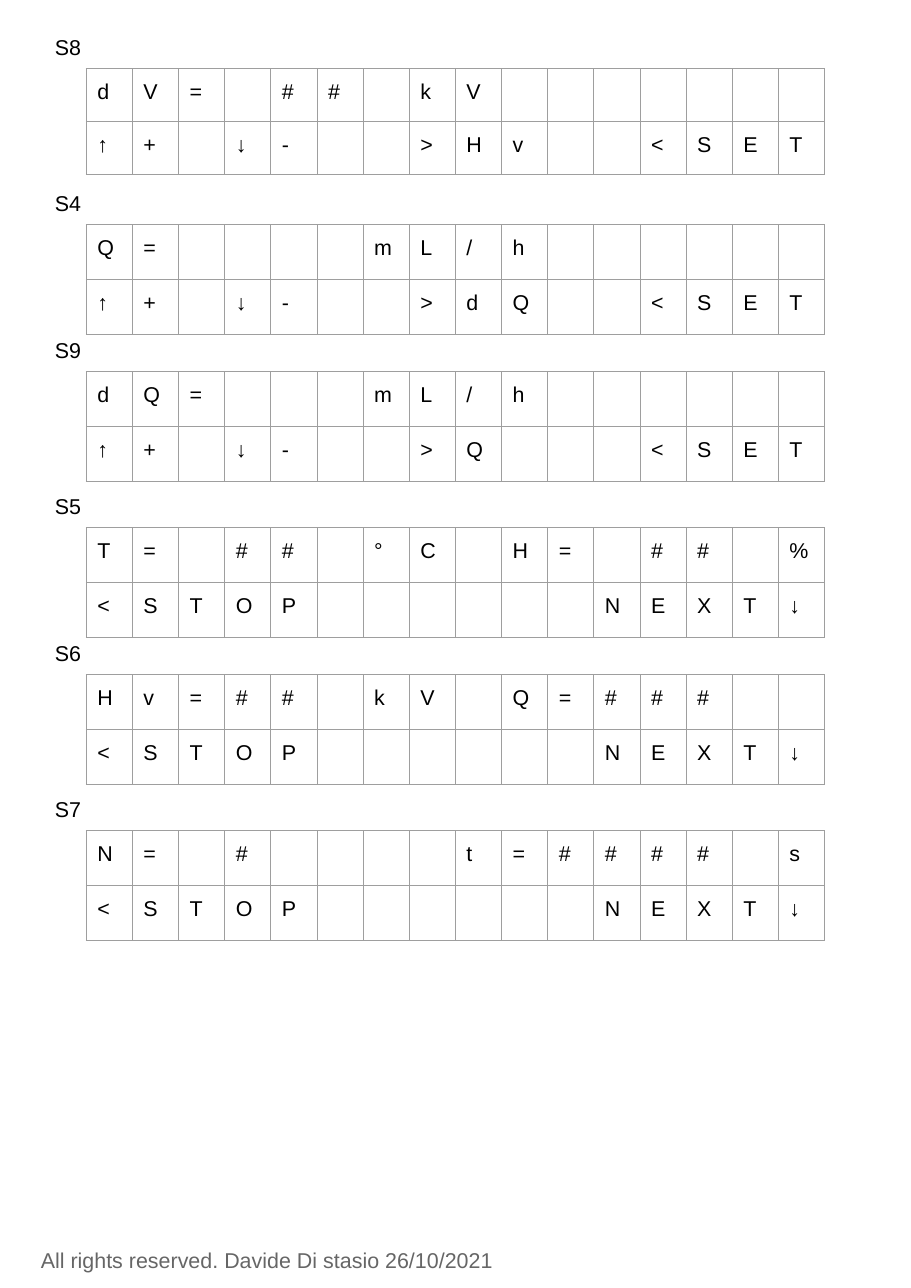
from lxml import etree
from pptx import Presentation
from pptx.dml.color import RGBColor
from pptx.enum import text
from pptx.oxml import ns
from pptx.util import Pt

COLUMNS = 16
COLUMN_WIDTH = 30.17
FRAME_SIDE = 236.2
INSET = 7.2
GRID = "9E9E9E"

# Each display has two lines of 16 characters; "_" is an empty position.
ADJUST = "↑+_↓-__>{}__<SET"
STOP_NEXT = "<STOP______NEXT↓"
displays = [
    ("S8", "dV=_##_kV_______", ADJUST.format("Hv")),
    ("S4", "Q=____mL/h______", ADJUST.format("dQ")),
    ("S9", "dQ=___mL/h______", ADJUST.format("Q_")),
    ("S5", "T=_##_°C_H=_##_%", STOP_NEXT),
    ("S6", "Hv=##_kV_Q=###__", STOP_NEXT),
    ("S7", "N=_#____t=####_s", STOP_NEXT),
]

presentation = Presentation()
presentation.slide_width = Pt(595.44)
presentation.slide_height = Pt(841.68)
slide = presentation.slides.add_slide(presentation.slide_layouts[6])


def write(frame, content, color="000000"):
    """Fill a text box or cell text frame with one formatted line."""
    frame.text = content
    font = frame.paragraphs[0].runs[0].font
    font.name = "Arial"
    font.size = Pt(14)
    font.color.rgb = RGBColor.from_string(color)


def add_line_of_text(content, left, top, width, color="000000"):
    frame = slide.shapes.add_textbox(Pt(left), Pt(top), Pt(width), Pt(31.5)).text_frame
    frame.word_wrap = True
    frame.auto_size = text.MSO_AUTO_SIZE.SHAPE_TO_FIT_TEXT
    frame.margin_left = frame.margin_right = Pt(INSET)
    frame.margin_top = frame.margin_bottom = Pt(INSET)
    write(frame, content, color)


for index, (label, *lines) in enumerate(displays):
    # Displays come in pairs, with a wider gap inside each pair.
    top = 44.8 + 198 * (index // 2) + 102.1 * (index % 2)
    row_height = 34.7 if index == 0 else 36

    graphic_frame = slide.shapes.add_table(
        2, COLUMNS, Pt(56.4), Pt(top), Pt(FRAME_SIDE), Pt(FRAME_SIDE)
    )
    table = graphic_frame.table
    table.first_row = False
    table.horz_banding = False
    for column in table.columns:
        column.width = Pt(COLUMN_WIDTH)

    for row, characters in zip(table.rows, lines):
        row.height = Pt(row_height)
        for cell, character in zip(row.cells, characters):
            if character != "_":
                cell.margin_left = cell.margin_right = Pt(INSET)
                cell.margin_top = cell.margin_bottom = Pt(INSET)
                write(cell.text_frame, character)

            properties = cell._tc.get_or_add_tcPr()
            for side in ("a:lnL", "a:lnR", "a:lnT", "a:lnB"):
                border = etree.SubElement(properties, ns.qn(side), w=str(Pt(0.75)))
                fill = etree.SubElement(border, ns.qn("a:solidFill"))
                etree.SubElement(fill, ns.qn("a:srgbClr"), val=GRID)
            cell.fill.background()

    # The frame stays square while its grid runs past it to the right.
    graphic_frame.width = graphic_frame.height = Pt(FRAME_SIDE)
    add_line_of_text(label, 28.8, top - 29.9, 95)

add_line_of_text("All rights reserved. Davide Di stasio 26/10/2021", 19.6, 807.5, 548, "666666")

presentation.save("out.pptx")
